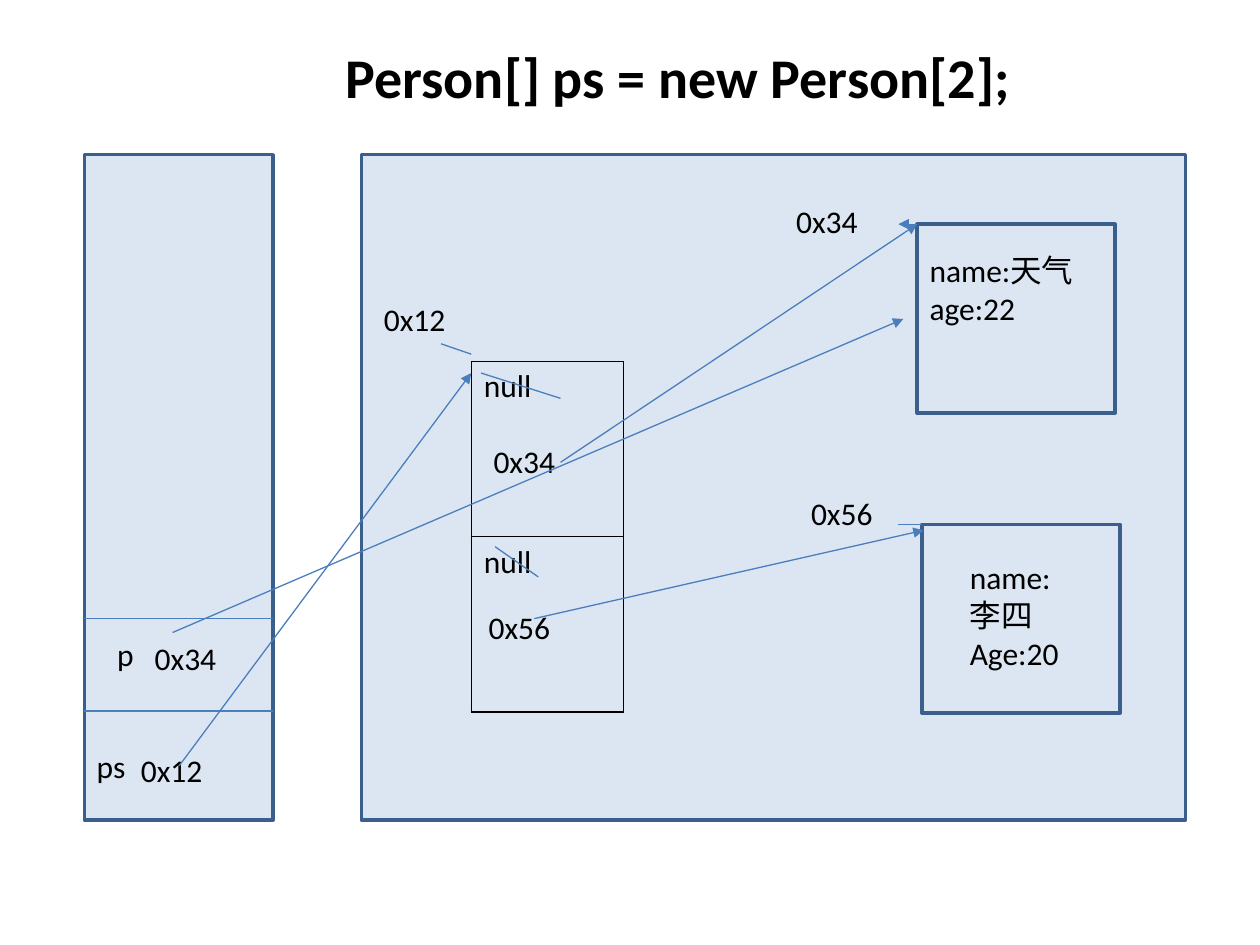
"""Build a slide showing how an array of Person objects is held in stack and heap memory."""
from lxml.etree import SubElement
from pptx import Presentation
from pptx.dml.color import RGBColor
from pptx.enum.shapes import MSO_CONNECTOR, MSO_SHAPE
from pptx.oxml import parse_xml
from pptx.oxml.ns import nsdecls, qn
from pptx.util import Cm, Pt

THEME = {
    "font": "Calibri",
    "title_size": 32,
    "body_size": 18,
    "text": "000000",
    "fill": "DCE6F2",
    "outline": "3A5F8C",
    "outline_width": 2,
    "line": "4B7EBC",
    "line_width": 0.75,
}

TITLE = ("Person[] ps = new Person[2];", 6.71, 0.74, 18.21, 1.63)

STACK = (1.7, 3.12, 3.81, 13.41)
HEAP = (7.29, 3.12, 16.61, 13.41)
FIRST_PERSON = (18.49, 4.52, 3.99, 3.81)
SECOND_PERSON = (18.59, 10.57, 3.99, 3.81)
BOXES = [STACK, HEAP, FIRST_PERSON, SECOND_PERSON]

ARRAY_VALUES = ["null", "null"]
ARRAY_LEFT, ARRAY_TOP, ARRAY_WIDTH, ARRAY_ROW = 9.5, 7.29, 3.07, 3.53

LABEL_HEIGHT = 1.02
LABELS = [
    ("ps", 1.7, 14.94, 4.6),
    ("0x12", 2.59, 15.01, 2.01),
    ("p", 2.11, 12.67, 2.49),
    ("0x34", 2.87, 12.75, 2.31),
    ("0x12", 7.49, 5.92, 2.01),
    ("0x34", 9.7, 8.79, 2.31),
    ("0x56", 9.6, 12.14, 1.8),
    ("0x34", 15.8, 3.94, 2.31),
    ("0x56", 16.1, 9.83, 1.8),
]
PERSON_FIELDS = [
    ("name:天气\nage:22", 18.49, 4.93, 3.99, 1.8),
    ("name:李四\nAge:20", 19.3, 11.13, 2.59, 2.57),
]

STACK_DIVIDERS = [12.47, 14.33]
ADDRESS_TICKS = [
    (ARRAY_LEFT, 7.14, 8.89, 6.93),
    (*SECOND_PERSON[:2], 18.11, 10.57),
]
STRIKES = [(11.3, 8.03, 9.7, 7.52), (9.98, 11.02, 10.85, 11.63)]
REFERENCES = [
    (3.61, 15.44, ARRAY_LEFT, 7.52),
    (*FIRST_PERSON[:2], 18.11, 4.52),
    (11.3, 9.32, *FIRST_PERSON[:2]),
    (10.77, 12.47, 18.62, 10.69),
    (3.48, 12.75, 18.21, 6.43),
]


def lengths(values):
    return [Cm(value) for value in values]


def color(name):
    return RGBColor.from_string(THEME[name])


def style_text(text_frame, size, bold=False):
    for paragraph in text_frame.paragraphs:
        for run in paragraph.runs:
            run.font.name = THEME["font"]
            run.font.size = Pt(size)
            run.font.bold = bold
            run.font.color.rgb = color("text")


def add_text(slide, text, *place, size=THEME["body_size"], bold=False):
    shape = slide.shapes.add_textbox(*lengths(place))
    shape.text_frame.word_wrap = True
    shape.text_frame.text = text
    style_text(shape.text_frame, size, bold)


def add_box(slide, place):
    shape = slide.shapes.add_shape(MSO_SHAPE.RECTANGLE, *lengths(place))
    shape.shadow.inherit = False
    shape.fill.solid()
    shape.fill.fore_color.rgb = color("fill")
    shape.line.color.rgb = color("outline")
    shape.line.width = Pt(THEME["outline_width"])


def add_line(slide, ends, arrow=False):
    connector = slide.shapes.add_connector(MSO_CONNECTOR.STRAIGHT, *lengths(ends))
    connector.line.color.rgb = color("line")
    connector.line.width = Pt(THEME["line_width"])
    if arrow:
        SubElement(connector.line._get_or_add_ln(), qn("a:tailEnd"), type="triangle")
    SubElement(connector._element.spPr, qn("a:effectLst"))


def add_borders(cell):
    properties = cell._tc.get_or_add_tcPr()
    for position, side in enumerate("LRTB"):
        properties.insert(position, parse_xml(
            f'<a:ln{side} {nsdecls("a")} w="{Pt(1)}"><a:solidFill>'
            f'<a:srgbClr val="{THEME["text"]}"/></a:solidFill></a:ln{side}>'))


def add_array(slide):
    place = (ARRAY_LEFT, ARRAY_TOP, ARRAY_WIDTH, ARRAY_ROW * len(ARRAY_VALUES))
    table = slide.shapes.add_table(len(ARRAY_VALUES), 1, *lengths(place)).table
    table.first_row = table.horz_banding = False
    for row, value in zip(table.rows, ARRAY_VALUES):
        row.height = Cm(ARRAY_ROW)
        cell = row.cells[0]
        cell.text_frame.text = value
        style_text(cell.text_frame, THEME["body_size"])
        cell.fill.background()
        add_borders(cell)


def main():
    presentation = Presentation()
    presentation.slide_width, presentation.slide_height = Cm(25.4), Cm(19.05)
    slide = presentation.slides.add_slide(presentation.slide_layouts[6])
    for place in BOXES:
        add_box(slide, place)
    add_text(slide, *TITLE, size=THEME["title_size"], bold=True)
    add_array(slide)
    for label in LABELS:
        add_text(slide, *label, LABEL_HEIGHT)
    for fields in PERSON_FIELDS:
        add_text(slide, *fields)
    left, _, width, _ = STACK
    dividers = [(left, y, left + width, y) for y in STACK_DIVIDERS]
    for ends in dividers + ADDRESS_TICKS + STRIKES:
        add_line(slide, ends)
    for ends in REFERENCES:
        add_line(slide, ends, arrow=True)
    presentation.save("out.pptx")


if __name__ == "__main__":
    main()
